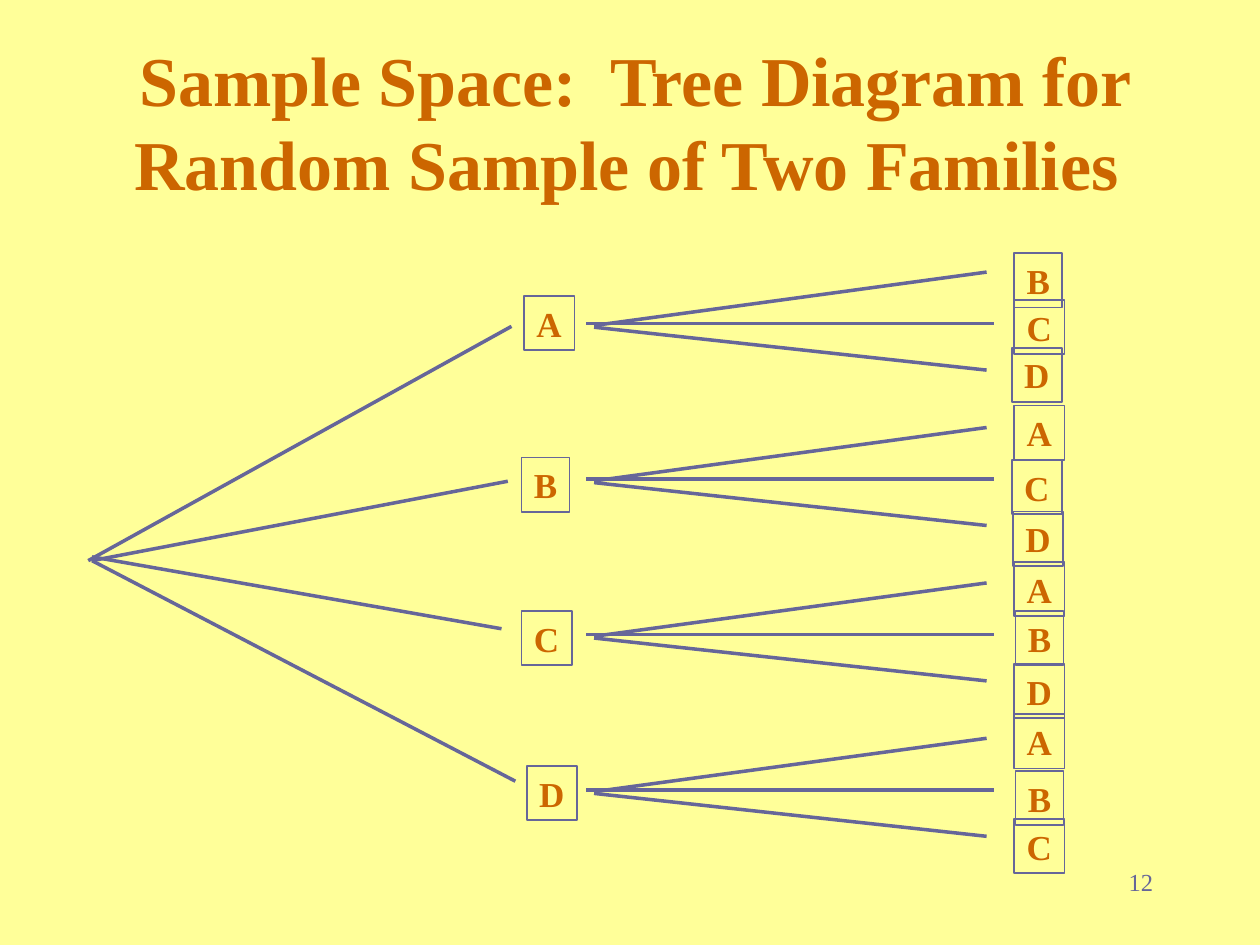
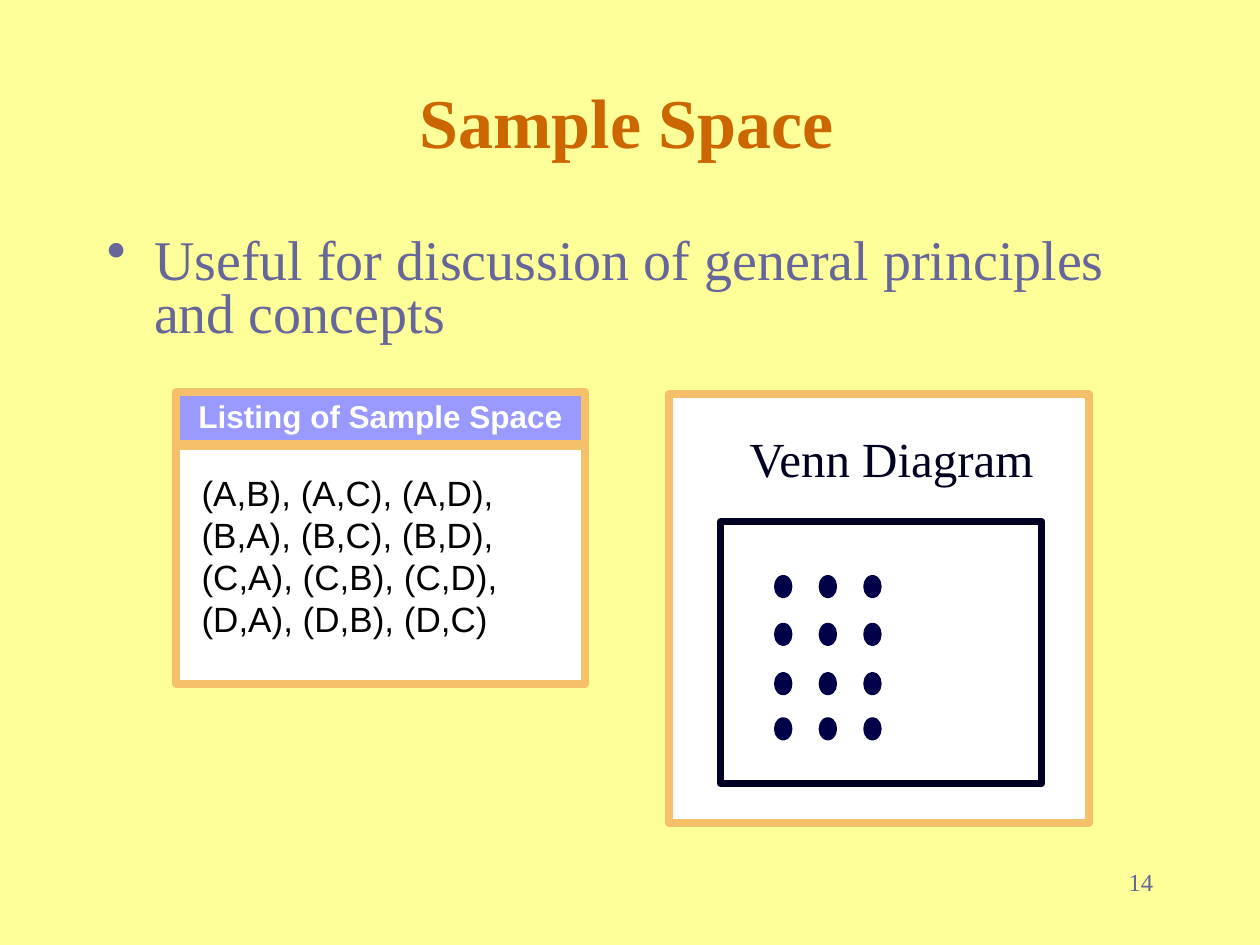
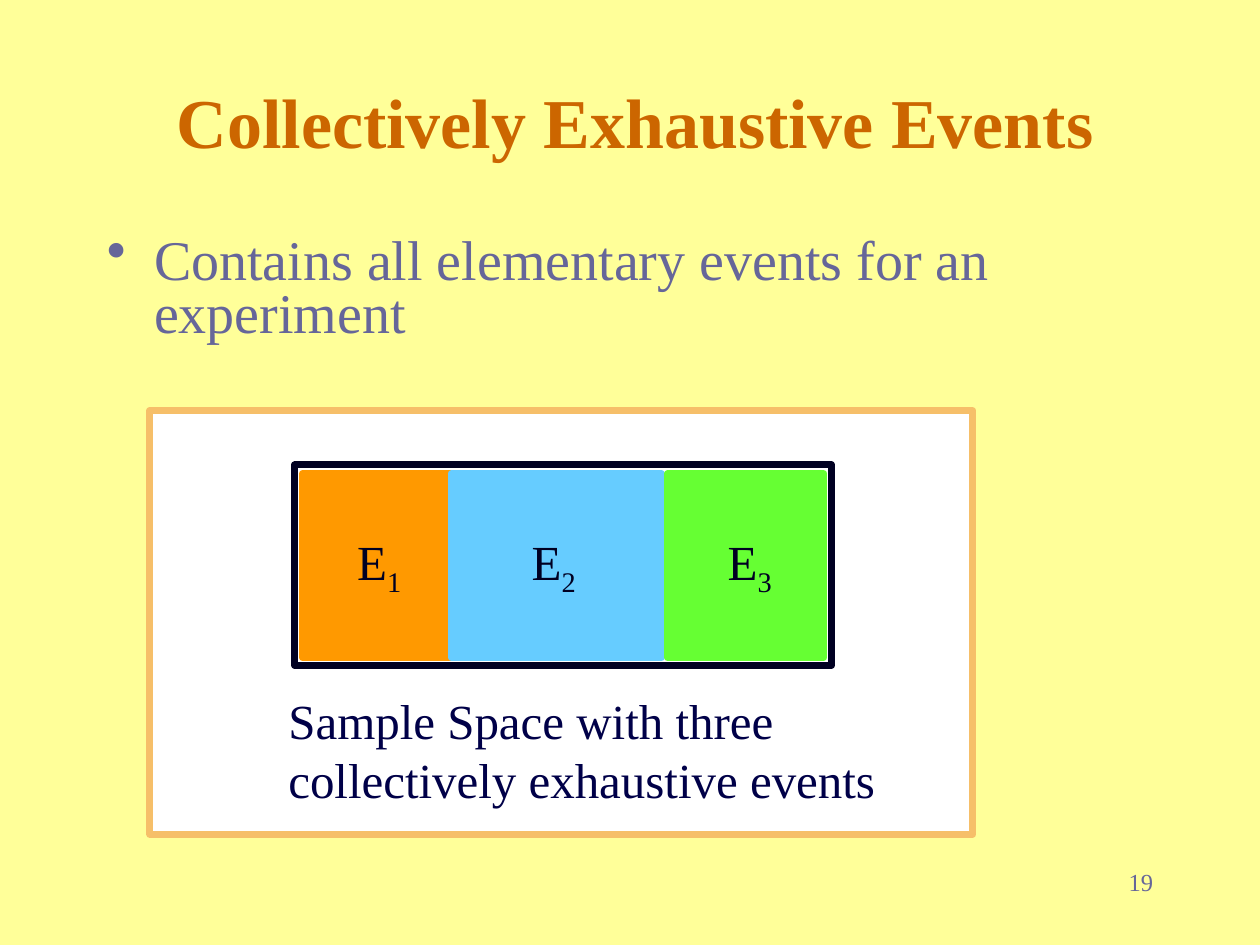
from lxml.etree import SubElement
from pptx import Presentation
from pptx.dml.color import RGBColor
from pptx.enum.shapes import MSO_CONNECTOR, MSO_SHAPE
from pptx.enum.text import MSO_ANCHOR, PP_ALIGN
from pptx.oxml.ns import qn
from pptx.util import Pt

PAPER = RGBColor(0xFF, 0xFF, 0x99)
RUST = RGBColor(0xCC, 0x66, 0x00)
SLATE = RGBColor(0x66, 0x66, 0x99)
LAVENDER = RGBColor(0x99, 0x99, 0xFF)
SAND = RGBColor(0xF6, 0xBF, 0x69)
WHITE = RGBColor(0xFF, 0xFF, 0xFF)
BLACK = RGBColor(0x00, 0x00, 0x00)
INK = RGBColor(0x00, 0x00, 0x22)
NAVY = RGBColor(0x00, 0x00, 0x48)
ORANGE = RGBColor(0xFF, 0x99, 0x00)
SKY = RGBColor(0x66, 0xCC, 0xFF)
GREEN = RGBColor(0x66, 0xFF, 0x33)

SERIF = "Times New Roman"
SANS = "Arial"


def add_box(slide, bounds, fill=None, line=None, weight=4, preset=MSO_SHAPE.RECTANGLE):
    box = slide.shapes.add_shape(preset, *map(Pt, bounds))
    box.shadow.inherit = False
    if fill is None:
        box.fill.background()
    else:
        box.fill.solid()
        box.fill.fore_color.rgb = fill
    if line is None:
        box.line.fill.background()
    else:
        box.line.color.rgb = line
        box.line.width = Pt(weight)
    return box


def write(box, lines, size, color, font=SERIF, bold=False, align=PP_ALIGN.LEFT,
          anchor=MSO_ANCHOR.TOP, inset=(7.2, 3.6), wrap=True, subscript=None):
    frame = box.text_frame
    frame.word_wrap = wrap
    frame.vertical_anchor = anchor
    frame.margin_left = frame.margin_right = Pt(inset[0])
    frame.margin_top = frame.margin_bottom = Pt(inset[1])
    for index, line in enumerate(lines):
        paragraph = frame.paragraphs[0] if index == 0 else frame.add_paragraph()
        paragraph.alignment = align
        for text in filter(None, (line, subscript)):
            run = paragraph.add_run()
            run.text = text
            run.font.name = font
            run.font.size = Pt(size)
            run.font.bold = bold
            run.font.color.rgb = color
            if text == subscript:
                run.font._element.set("baseline", "-25000")
    return frame.paragraphs[0]


prs = Presentation()
prs.slide_width, prs.slide_height = Pt(720), Pt(540)
background = prs.slide_master.background.fill
background.solid()
background.fore_color.rgb = PAPER

pages = [
    ("Sample Space:  Tree Diagram for Random Sample of Two Families ", "12", None),
    ("Sample Space ", "14", "Useful for discussion of general principles and concepts"),
    ("Collectively Exhaustive Events", "19", "Contains all elementary events for an experiment"),
]
slides = []
for title, number, point in pages:
    slide = prs.slides.add_slide(prs.slide_layouts[6])
    slides.append(slide)
    heading = slide.shapes.add_textbox(Pt(30), Pt(24), Pt(666), Pt(90))
    write(heading, [title], 40, RUST, bold=True, align=PP_ALIGN.CENTER, anchor=MSO_ANCHOR.MIDDLE)
    page_number = slide.shapes.add_textbox(Pt(606), Pt(492), Pt(60), Pt(36))
    write(page_number, [number], 14, SLATE, align=PP_ALIGN.RIGHT)
    if point:
        body = slide.shapes.add_textbox(Pt(54), Pt(132), Pt(612), Pt(348))
        bullet = write(body, [point], 32, SLATE)
        bullet.line_spacing = 0.8
        properties = bullet._p.get_or_add_pPr()
        properties.set("marL", str(Pt(27)))
        properties.set("indent", str(Pt(-27)))
        bullet_color = SubElement(properties, qn("a:buClr"))
        SubElement(bullet_color, qn("a:srgbClr")).set("val", str(SLATE))
        SubElement(properties, qn("a:buChar")).set("char", "•")

tree_slide, listing_slide, events_slide = slides

branches = [
    (50.4, 320.4, 292.3, 186.5),
    (52.6, 320.4, 290.2, 275),
    (52.6, 318.2, 286.6, 359.3),
    (52.6, 320.4, 294.5, 446.4),
]
for row in range(4):
    level = 185 + 88.8 * row
    branches += [
        (568, level, 335, level),
        (339.5, level + 1, 563.8, level - 29.5),
        (339.5, level + 2, 563.8, level + 26.5),
    ]
for ends in branches:
    branch = tree_slide.shapes.add_connector(MSO_CONNECTOR.STRAIGHT, *map(Pt, ends))
    branch.line.color.rgb = SLATE
    branch.line.width = Pt(2)
    SubElement(branch._element.spPr, qn("a:effectLst"))

families = [
    ("A", 299.5, 169.2), ("B", 298, 261.4), ("C", 298, 349.2), ("D", 301, 437.8),
    ("B", 579.6, 144.7), ("C", 579.6, 171.4), ("D", 578.2, 198.7),
    ("A", 579.6, 231.8), ("C", 578.2, 262.8), ("D", 578.9, 292.3),
    ("A", 579.6, 321.1), ("B", 580.3, 349.2), ("D", 579.6, 379.4),
    ("A", 579.6, 408.2), ("B", 580.3, 440.6), ("C", 579.6, 468),
]
for family, left, top in families:
    width = 27.4 if family == "B" else 28.8
    node = add_box(tree_slide, (left, top, width, 31), line=SLATE, weight=1)
    write(node, [family], 20, RUST, bold=True, wrap=False)

listing_header = add_box(listing_slide, (100.8, 224, 233.3, 29.5), LAVENDER, SAND, 4.5)
write(listing_header, ["Listing of Sample Space"], 18, WHITE, SANS, True,
      PP_ALIGN.CENTER, MSO_ANCHOR.MIDDLE).line_spacing = 0.9
listing = add_box(listing_slide, (100.8, 255, 233.3, 136), WHITE, SAND, 4.5)
write(listing, ["(A,B), (A,C), (A,D),", "(B,A), (B,C), (B,D),",
                "(C,A), (C,B), (C,D),", "(D,A), (D,B), (D,C)"],
      20, BLACK, SANS, inset=(14.4, 14.4))

add_box(listing_slide, (382.3, 225.4, 239.8, 244.8), WHITE, SAND, 4.5)
add_box(listing_slide, (411.8, 298, 183.6, 149.8), line=INK)
venn_label = listing_slide.shapes.add_textbox(Pt(414.7), Pt(241.2), Pt(186.5), Pt(40.3))
write(venn_label, [" Venn Diagram"], 28, INK, wrap=False)
for column in range(3):
    for top in (330.5, 357.8, 386, 411.8):
        add_box(listing_slide, (444.3 + 25.5 * column, top, 6.5, 9.4), NAVY, NAVY,
                preset=MSO_SHAPE.OVAL)

add_box(events_slide, (85.7, 234.7, 470.2, 242), WHITE, SAND)
add_box(events_slide, (168.5, 265.7, 306.7, 114.5), WHITE, INK)
events = [
    ("1", ORANGE, 172.8, 85.7, 185, 63.4),
    ("2", SKY, 257.8, 120.2, 282.2, 68.4),
    ("3", GREEN, 381.6, 89.3, 396.7, 63.4),
]
for event, color, left, width, label_left, label_width in events:
    add_box(events_slide, (left, 270.7, width, 105.1), color, color)
    label = add_box(events_slide, (label_left, 308.2, label_width, 28.8), color, color,
                    preset=MSO_SHAPE.OVAL)
    write(label, ["E"], 28, INK, align=PP_ALIGN.CENTER, anchor=MSO_ANCHOR.MIDDLE,
          wrap=False, subscript=event)

caption = events_slide.shapes.add_textbox(Pt(157.7), Pt(391), Pt(350), Pt(74.2))
write(caption, ["Sample Space with three", "collectively exhaustive events"], 28, NAVY, wrap=False)

prs.save("out.pptx")
